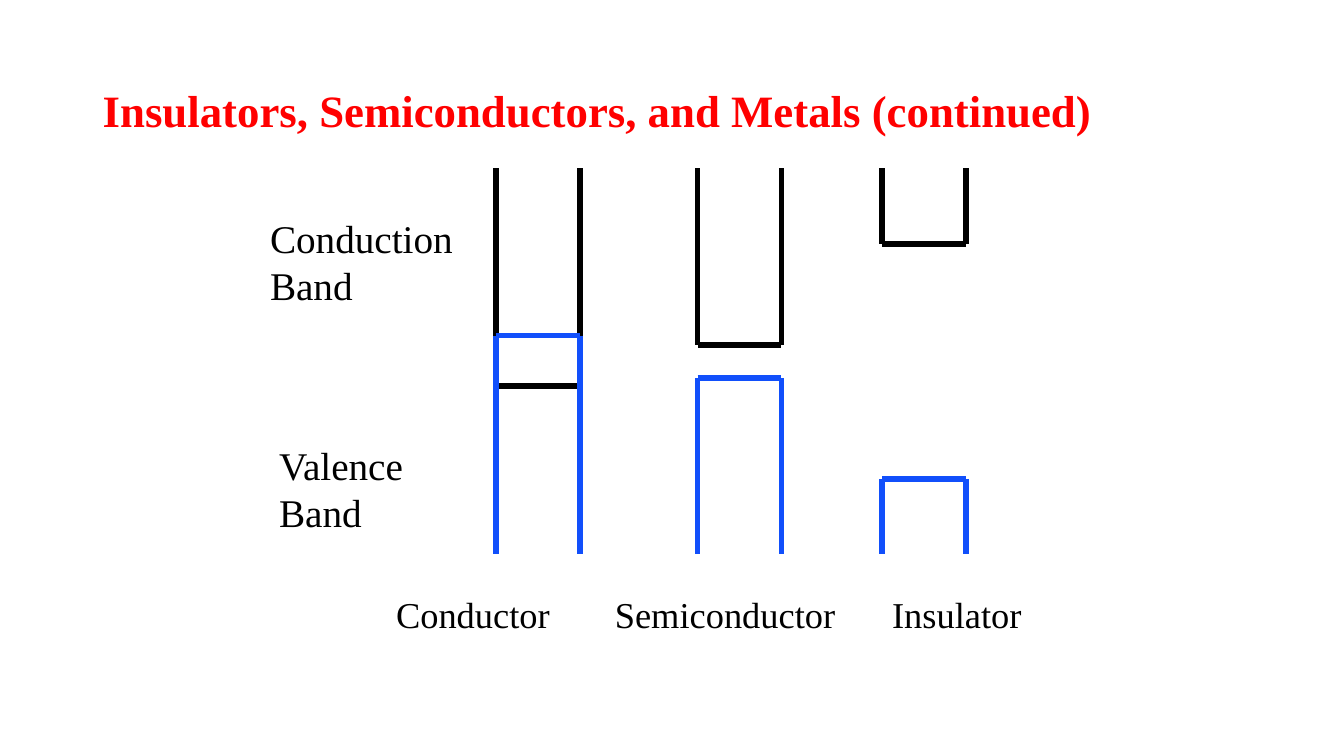
from dataclasses import dataclass

from lxml.etree import SubElement
from pptx import Presentation
from pptx.dml.color import RGBColor
from pptx.enum.shapes import MSO_CONNECTOR
from pptx.enum.text import MSO_ANCHOR
from pptx.oxml.ns import qn
from pptx.util import Inches, Pt


@dataclass(frozen=True)
class Theme:
    """Colours, font and sizes of the band diagram."""
    font: str = "Times New Roman"
    red: RGBColor = RGBColor(0xFF, 0x00, 0x00)
    black: RGBColor = RGBColor(0x00, 0x00, 0x00)
    blue: RGBColor = RGBColor(0x11, 0x4F, 0xFB)
    title: int = 32
    band: int = 28
    solid: int = 26
    line: int = 4


THEME = Theme()
WIDTH = 0.83
TOP, BOTTOM = 1.67, 5.5
SOLIDS = [(4.92, 3.83, 3.33), (6.92, 3.42, 3.75), (8.75, 2.42, 4.75)]
BANDS = [
    ("Conduction Band", 2.58, 2.08, 2.33),
    ("Valence Band", 2.67, 4.33, 1.92),
]
NAMES = [
    ("Conductor", 3.83, 2),
    ("Semiconductor", 6, 2.83),
    ("Insulator", 8.75, 1.83),
]


def add_text(slide, text, box, size, color=THEME.black):
    """Add a wrapped text box and return its frame."""
    frame = slide.shapes.add_textbox(*map(Inches, box)).text_frame
    frame.word_wrap = True
    para = frame.paragraphs[0]
    para.text = text
    para.font.name = THEME.font
    para.font.size = Pt(size)
    para.font.color.rgb = color
    return frame


def add_title(slide, text):
    """Add the bold slide title, centred in height."""
    frame = add_text(slide, text, (0.92, 0.4, 11.5, 1.45), THEME.title, THEME.red)
    frame.vertical_anchor = MSO_ANCHOR.MIDDLE
    para = frame.paragraphs[0]
    para.font.bold = True
    para.line_spacing = 0.9


def add_line(slide, start, end, color):
    """Add a straight line without a shadow."""
    line = slide.shapes.add_connector(
        MSO_CONNECTOR.STRAIGHT, *map(Inches, (*start, *end)))
    line.line.color.rgb = color
    line.line.width = Pt(THEME.line)
    SubElement(line._element.spPr, qn("a:effectLst"))


def add_band(slide, left, edge, end, color):
    """Draw a band as its edge and two sides reaching to its open end."""
    right = left + WIDTH
    for side in (left, right):
        add_line(slide, (side, min(edge, end)), (side, max(edge, end)), color)
    add_line(slide, (left, edge), (right, edge), color)


def main():
    """Build and save the slide."""
    deck = Presentation()
    deck.slide_width, deck.slide_height = Inches(13.33), Inches(7.5)
    slide = deck.slides.add_slide(deck.slide_layouts[6])
    add_title(slide, "Insulators, Semiconductors, and Metals (continued)")
    for left, floor, roof in SOLIDS:
        add_band(slide, left, floor, TOP, THEME.black)
        add_band(slide, left, roof, BOTTOM, THEME.blue)
    for text, left, top, width in BANDS:
        add_text(slide, text, (left, top, width, 1.03), THEME.band)
    for text, left, width in NAMES:
        add_text(slide, text, (left, 5.83, width, 0.53), THEME.solid)
    deck.save("out.pptx")


if __name__ == "__main__":
    main()
